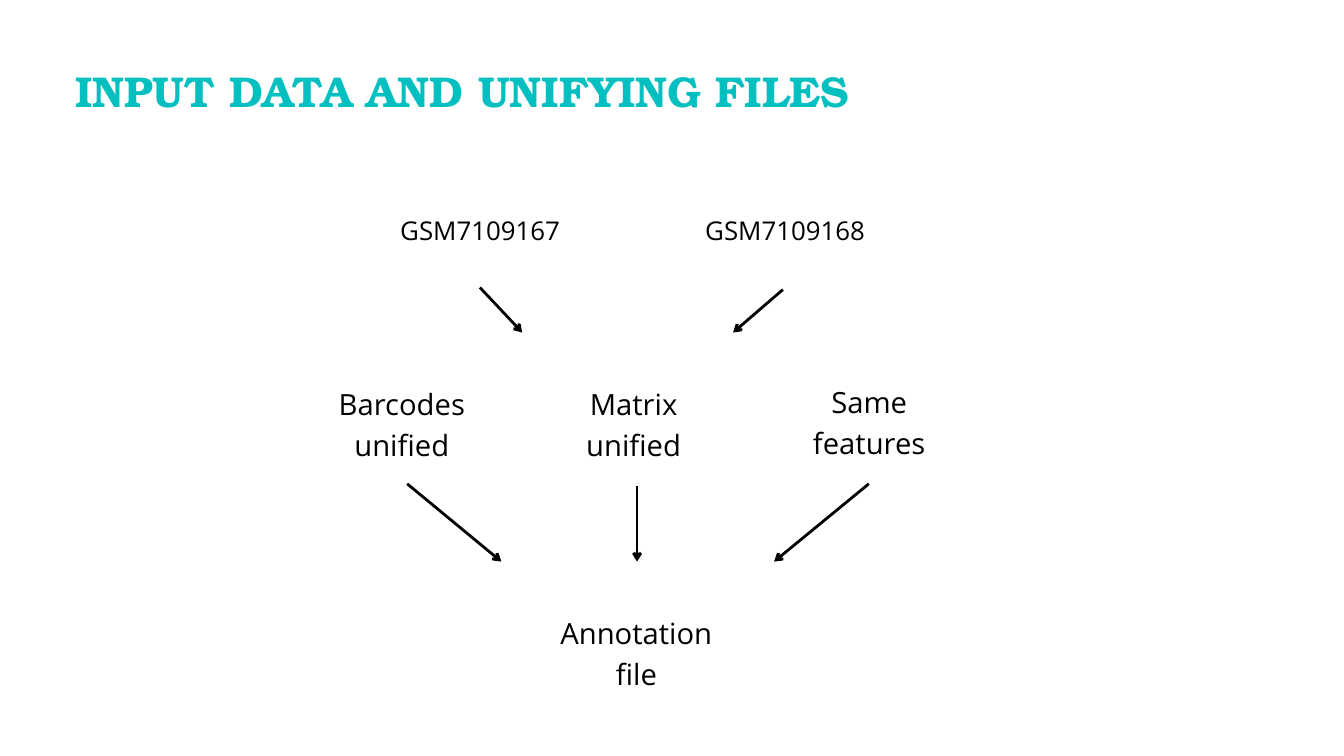
from lxml import etree
from pptx import Presentation
from pptx import util as u
from pptx.dml.color import RGBColor
from pptx.enum import shapes, text
from pptx.oxml import ns

TEAL = RGBColor(0x04, 0xBF, 0xBF)
BLACK = RGBColor(0, 0, 0)
HEADING_FONT = "TeX Gyre Bonum"
BODY_FONT = "Open Sans"


class FlowSlide:
    def __init__(self, slide):
        self.slide = slide

    def text_box(self, left, top, width, height, lines, size, spacing,
                 font=BODY_FONT, color=BLACK, bold=False,
                 align=text.PP_ALIGN.CENTER):
        """Add a box without insets, one paragraph per line; lengths in cm."""
        box = self.slide.shapes.add_textbox(
            u.Cm(left), u.Cm(top), u.Cm(width), u.Cm(height))
        frame = box.text_frame
        frame.word_wrap = True
        frame.auto_size = text.MSO_AUTO_SIZE.SHAPE_TO_FIT_TEXT
        frame.margin_left = frame.margin_right = 0
        frame.margin_top = frame.margin_bottom = 0
        for index, line in enumerate(lines):
            paragraph = frame.add_paragraph() if index else frame.paragraphs[0]
            paragraph.alignment = align
            paragraph.line_spacing = u.Pt(spacing)
            run = paragraph.add_run()
            run.text = line
            run.font.name = font
            run.font.size = u.Pt(size)
            run.font.bold = bold
            run.font.color.rgb = color

    def title(self, line):
        self.text_box(2.84, 2.64, 38.05, 2.16, [line], 46.2, 49.9,
                      HEADING_FONT, TEAL, True, text.PP_ALIGN.JUSTIFY)

    def sample(self, left, name):
        self.text_box(left, 7.92, 6.38, 1.3, [name], 27.7, 38.8)

    def step(self, left, top, *lines):
        self.text_box(left, top, 7.21, 3, lines, 31.3, 43.8)

    def arrow(self, start_x, start_y, end_x, end_y):
        connector = self.slide.shapes.add_connector(
            shapes.MSO_CONNECTOR.STRAIGHT,
            u.Cm(start_x), u.Cm(start_y), u.Cm(end_x), u.Cm(end_y))
        connector.line.color.rgb = BLACK
        connector.line.width = u.Pt(3)
        properties = connector.element.spPr
        line = properties.find(ns.qn("a:ln"))
        etree.SubElement(line, ns.qn("a:tailEnd"), type="arrow")
        etree.SubElement(properties, ns.qn("a:effectLst"))


def main():
    presentation = Presentation()
    presentation.slide_width = u.Cm(50.8)
    presentation.slide_height = u.Cm(28.58)
    flow = FlowSlide(presentation.slides.add_slide(presentation.slide_layouts[6]))

    flow.title("INPUT DATA AND UNIFYING FILES")

    flow.sample(14.96, "GSM7109167")
    flow.sample(26.49, "GSM7109168")
    flow.arrow(18.14, 10.87, 19.74, 12.57)
    flow.arrow(29.59, 10.95, 27.71, 12.57)

    steps = [(14.4, ["Barcodes ", "unified "]),
             (14.4, ["Matrix ", "unified "]),
             (14.3, ["Same features"])]
    for column, (top, lines) in enumerate(steps):
        flow.step(11.73 + 8.76 * column, top, *lines)

    for start_x, start_y, end_x in [(24.08, 18.39, 24.08),
                                    (15.39, 18.29, 18.95),
                                    (32.84, 18.29, 29.26)]:
        flow.arrow(start_x, start_y, end_x, 21.23)
    flow.step(20.45, 23.04, "Annotation file")

    presentation.save("out.pptx")


if __name__ == "__main__":
    main()
